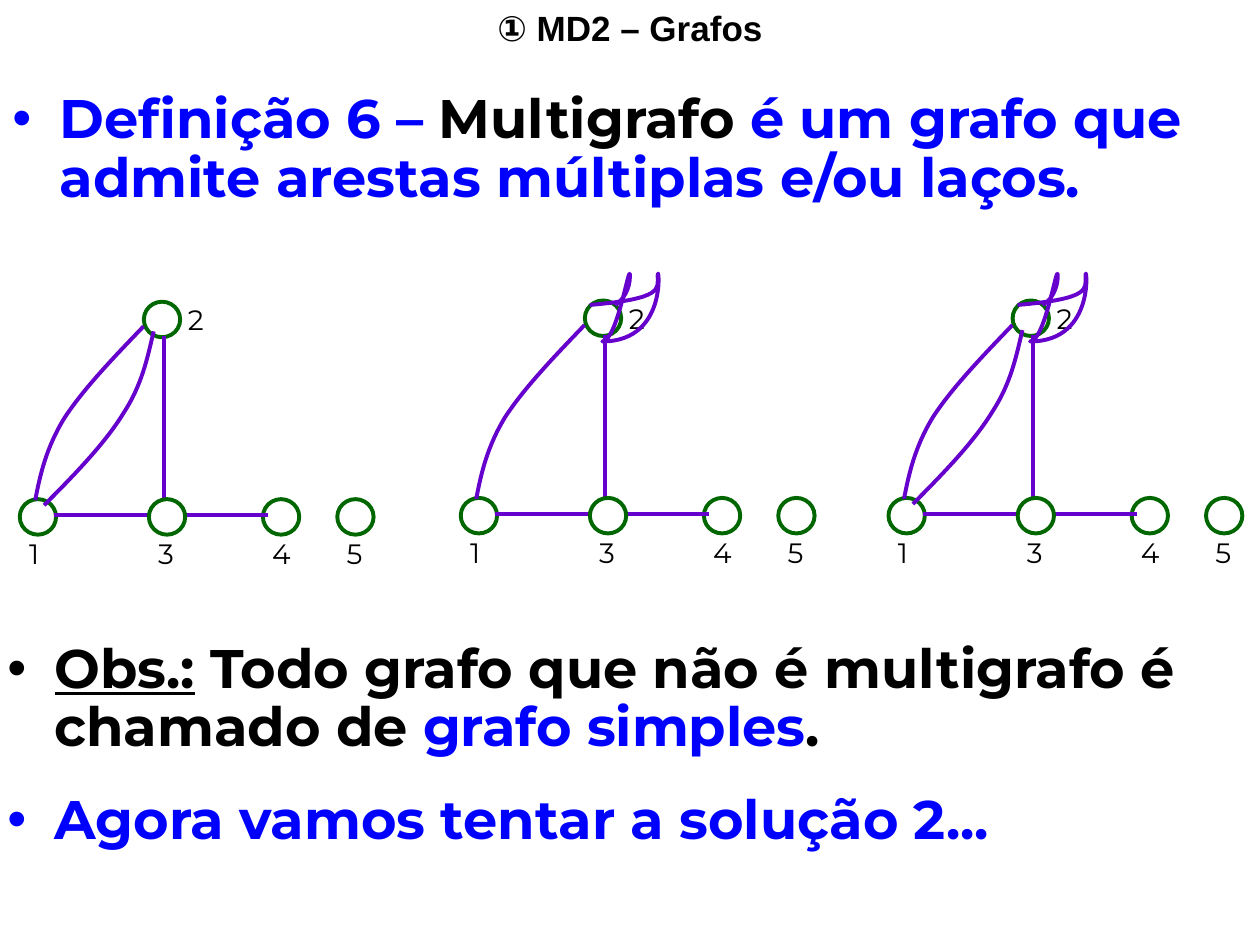
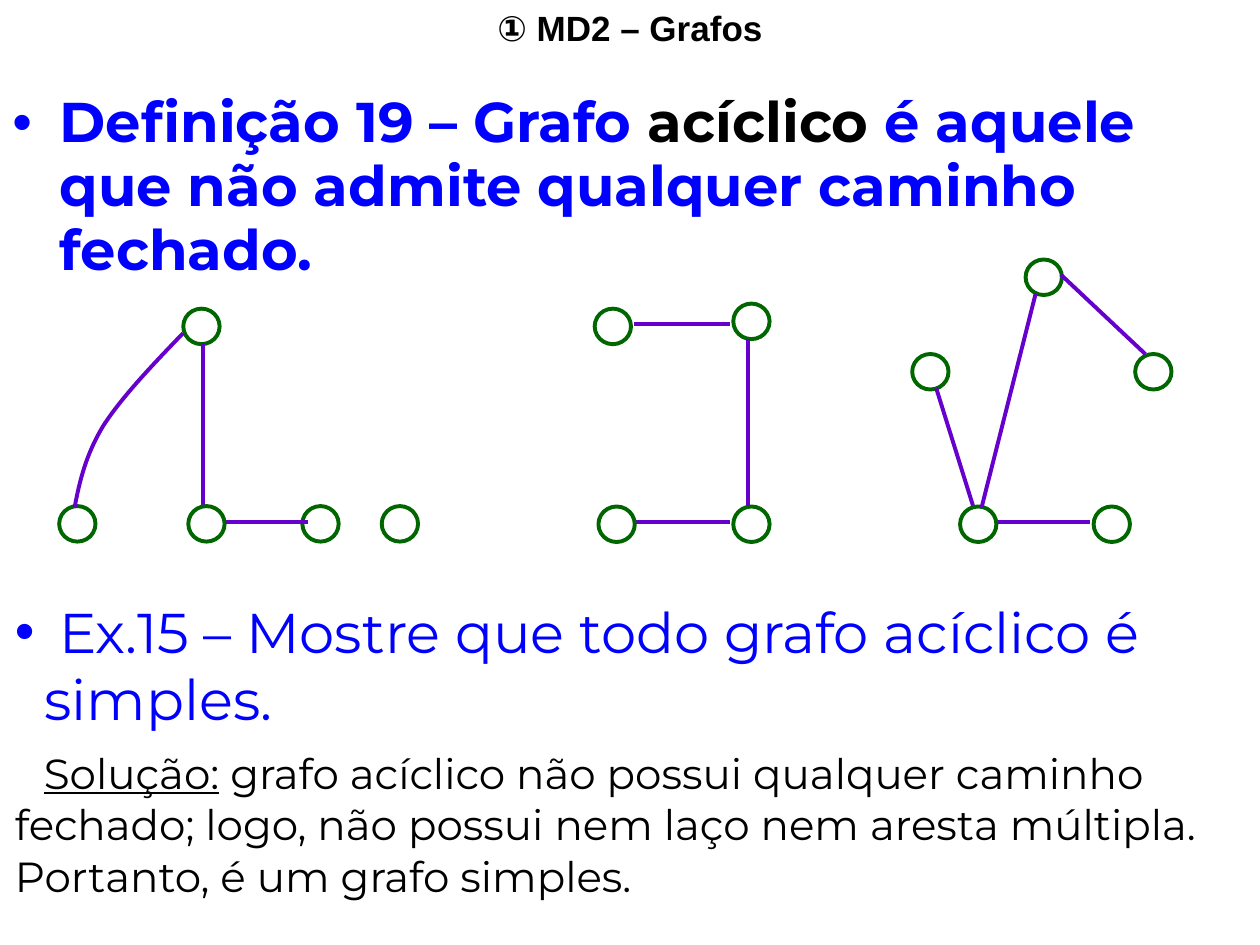
from lxml import etree
from pptx import Presentation
from pptx.dml.color import RGBColor
from pptx.enum.shapes import MSO_CONNECTOR as Connector, MSO_SHAPE as Shape
from pptx.enum.text import MSO_AUTO_SIZE as AutoSize, PP_ALIGN as Align
from pptx.oxml.ns import qn
from pptx.util import Inches, Pt

COLORS = {"black": "000000", "blue": "0000FF", "white": "FFFFFF",
          "node": "006600", "edge": "6600CC"}
COLUMNS, ROWS = 100, 75
NODE_WIDTH, NODE_HEIGHT = 2.88, 2.82
HANGING = 3.75

TITLE = {"name": "Arial", "size": Pt(20), "bold": True}
LABEL = {"name": "Montserrat", "size": Pt(16)}
BODY = {"name": "Montserrat", "size": Pt(31), "bold": True}
BODY_LARGE = BODY | {"size": Pt(32)}
EXERCISE = BODY_LARGE | {"bold": False}
SOLUTION = EXERCISE | {"size": Pt(24)}

# Layout of the five-vertex graph, in columns and rows
VERTICES = {"1": (1.57, 39.62), "4": (20.87, 39.62), "5": (26.77, 39.62), "2": (11.42, 23.95)}
HUB = {"3": (11.82, 39.62)}
EDGE_1_3 = ((4.3, 40.9), (11.8, 40.9))
EDGE_2_3 = ((13, 26.7), (13, 40.1))
EDGE_3_4 = ((21.3, 40.9), (14.6, 40.9))
LABEL_BELOW, LABEL_RIGHT = (-0.25, 2.5), (2.5, -0.4)

# Bézier outlines: a start, then two control points and an end per piece
OUTER = [(2.8, 39.7), (3.2, 37.6), (3.7, 35.5), (5.1, 33.2),
         (6.6, 30.9), (9, 28.4), (11.4, 25.9)]
INNER = [(12.2, 26.3), (11.7, 28.4), (11.3, 30.5), (9.8, 32.8),
         (8.4, 35.1), (6, 37.6), (3.5, 40.1)]
LOOP = [(11.8, 24.3), (17.7, 23.8), (17.2, 23), (17.2, 22),
        (17.2, 20.6), (18.2, 27.2), (12.8, 27.2),
        (14, 27.2), (15, 20.6), (15, 22),
        (15, 23), (14.5, 23.9), (13.8, 24.3)]
LOOP_FRAME = ((10.65, 19.5), (14.95, 24.3))


def rgb(name):
    return RGBColor.from_string(COLORS[name])


def shift(point, offset):
    return point[0] + offset[0], point[1] + offset[1]


class GraphDeck:
    """Holds the style, the current slide and the shapes being drawn into."""

    def __init__(self):
        self.presentation = Presentation()
        self.presentation.slide_width = Inches(10)
        self.presentation.slide_height = Inches(7.5)
        self.column = self.presentation.slide_width / COLUMNS
        self.row = self.presentation.slide_height / ROWS

    def at(self, point):
        return round(point[0] * self.column), round(point[1] * self.row)

    def new_slide(self):
        self.slide = self.presentation.slides.add_slide(self.presentation.slide_layouts[6])
        self.shapes = self.slide.shapes
        self.text((0, 0), (100, 4.4), [([("① MD2 – Grafos", "black")], TITLE,
                                       {"alignment": Align.CENTER})])

    def start_group(self):
        self.shapes = self.slide.shapes.add_group_shape().shapes

    def text(self, corner, size, paragraphs, wrap=True):
        """Each paragraph is (runs, font values, paragraph values, indents and bullet)."""
        frame = self.shapes.add_textbox(*self.at(corner), *self.at(size)).text_frame
        frame.word_wrap = wrap
        frame.auto_size = AutoSize.SHAPE_TO_FIT_TEXT
        for index, (runs, font, values, *indents) in enumerate(paragraphs):
            paragraph = frame.add_paragraph() if index else frame.paragraphs[0]
            if indents:
                self.indent(paragraph, *indents[0])
            for key, value in values.items():
                setattr(paragraph, key, value)
            for words, color, *underlined in runs:
                run = paragraph.add_run()
                run.text = words
                for key, value in font.items():
                    setattr(run.font, key, value)
                run.font.color.rgb = rgb(color)
                if underlined:
                    run.font.underline = True

    def indent(self, paragraph, margin, first_line, bullet_color=None):
        properties = paragraph._p.get_or_add_pPr()
        properties.set("marL", str(round(margin * self.column)))
        properties.set("indent", str(round(first_line * self.column)))
        if bullet_color:
            color = etree.SubElement(properties, qn("a:buClr"))
            etree.SubElement(color, qn("a:srgbClr"), val=COLORS[bullet_color])
            etree.SubElement(properties, qn("a:buFont"), typeface="Arial")
            etree.SubElement(properties, qn("a:buChar"), char="•")

    def bulleted(self, runs, font, **values):
        return runs, font, values, (HANGING, -HANGING, runs[0][1])

    def outline(self, shape, color):
        shape.line.color.rgb = rgb(color)
        shape.line.width = Pt(2.25)

    def node(self, corner):
        shape = self.shapes.add_shape(Shape.FLOWCHART_CONNECTOR, *self.at(corner),
                                      *self.at((NODE_WIDTH, NODE_HEIGHT)))
        shape.shadow.inherit = False
        shape.fill.solid()
        shape.fill.fore_color.rgb = rgb("white")
        self.outline(shape, "node")

    def edge(self, start, end):
        line = self.shapes.add_connector(Connector.STRAIGHT, *self.at(start), *self.at(end))
        etree.SubElement(line._element.spPr, qn("a:effectLst"))
        self.outline(line, "edge")

    def curve(self, controls, frame=None):
        """Draw Bézier pieces; a given frame is turned by half a circle."""
        corners = [self.at(point) for point in frame or (controls[0], controls[-1])]
        (left, right), (top, bottom) = (sorted(values) for values in zip(*corners))
        builder = self.shapes.build_freeform(left, top)
        builder.add_line_segments([(right, bottom)], close=False)
        shape = builder.convert_to_shape()
        shape.shadow.inherit = False
        shape.fill.background()
        self.outline(shape, "edge")
        points = [self.at(point) for point in controls]
        if frame:
            shape.rotation = 180
            points = [(right - x, bottom - y) for x, y in points]
        else:
            points = [(x - left, y - top) for x, y in points]
        self.bend(shape, points)

    def bend(self, shape, points):
        """Replace the straight outline by cubic pieces through the points."""
        outline = next(shape._element.iter(qn("a:path")))
        outline.set("fill", "none")
        for command in list(outline):
            outline.remove(command)
        pieces = [points[first:first + 3] for first in range(1, len(points), 3)]
        for tag, piece in [("a:moveTo", points[:1])] + [("a:cubicBezTo", piece) for piece in pieces]:
            command = etree.SubElement(outline, qn(tag))
            for x, y in piece:
                etree.SubElement(command, qn("a:pt"), x=str(x), y=str(y))

    def label(self, corner, words):
        self.text(corner, (3.2, 3.7), [([(words, "black")], LABEL, {})], wrap=False)

    def graph(self, nodes, hidden_edges, hubs, edges=()):
        """Hubs cover the ends of the hidden edges; the other edges lie on top."""
        self.start_group()
        for corner in nodes:
            self.node(corner)
        for start, end in hidden_edges:
            self.edge(start, end)
        for corner in hubs:
            self.node(corner)
        for start, end in edges:
            self.edge(start, end)

    def five_vertex_graph(self, offset, edges, curves, labelled=True, loop=False, isolated_gap=0):
        vertices = VERTICES | {"5": shift(VERTICES["5"], (isolated_gap, 0))}
        self.graph([shift(corner, offset) for corner in vertices.values()],
                   [[shift(point, offset) for point in edge] for edge in edges],
                   [shift(corner, offset) for corner in HUB.values()])
        if labelled:
            for words, corner in (HUB | vertices).items():
                gap = LABEL_RIGHT if words == "2" else LABEL_BELOW
                self.label(shift(shift(corner, offset), gap), words)
        if loop:
            self.curve([shift(point, offset) for point in LOOP],
                       [shift(corner, offset) for corner in LOOP_FRAME])
        for controls in curves:
            self.curve([shift(point, offset) for point in controls])


def multigraph_slide(deck):
    deck.new_slide()
    deck.text((0, 6.8), (100, 10.3), [deck.bulleted(
        [("Definição 6 – ", "blue"), ("Multigrafo", "black"),
         (" é um grafo que admite arestas múltiplas e/ou laços.", "blue")],
        BODY, line_spacing=0.9)])
    deck.text((-0.4, 50.4), (100, 17.7), [
        deck.bulleted([("Obs.:", "black", True),
                       (" Todo grafo que não é multigrafo é chamado de ", "black"),
                       ("grafo simples", "blue"), (".", "black")], BODY, line_spacing=0.9),
        deck.bulleted([("Agora vamos tentar a solução 2...", "blue")], BODY,
                      line_spacing=0.9, space_before=Pt(19.4))])
    for offset, curves, loop in (((0, 0), (OUTER, INNER), False),
                                 ((68.95, -0.1), (OUTER, INNER), True),
                                 ((35, -0.1), (OUTER,), True)):
        deck.five_vertex_graph(offset, (EDGE_1_3, EDGE_2_3, EDGE_3_4), curves, loop=loop)


def acyclic_slide(deck):
    deck.new_slide()
    deck.text((0, 6.8), (100, 11.2), [deck.bulleted(
        [("Definição 19 – Grafo ", "blue"), ("acíclico", "black"),
         (" é aquele que não admite qualquer caminho fechado.", "blue")],
        BODY_LARGE, line_spacing=0.95)])
    deck.five_vertex_graph((3.13, 0.55), (EDGE_2_3, EDGE_3_4), (OUTER,),
                           labelled=False, isolated_gap=0.4)
    deck.text((0.2, 46.9), (99.8, 25), [
        ([(" Ex.15 – Mostre que todo grafo acíclico é simples.", "blue")],
         EXERCISE, {}, (2.35, -2.35, "blue")),
        ([("Solução:", "black", True),
          (" grafo acíclico não possui qualquer caminho fechado; logo, não possui nem laço "
           "nem aresta múltipla. Portanto, é um grafo simples.", "black")],
         SOLUTION, {"space_before": Pt(8), "line_spacing": 1.03}, (0, 2.3))])
    deck.graph(nodes=[(47.2, 24.5), (58.2, 24.1), (58.2, 40.2)],
               hidden_edges=[((57.9, 41.4), (50.3, 41.4))],
               hubs=[(47.5, 40.2)],
               edges=[((59.4, 26.9), (59.4, 40.2)), ((57.9, 25.7), (50.3, 25.7))])
    deck.graph(nodes=[(72.4, 28.1), (90.1, 28.1), (86.8, 40.2)],
               hidden_edges=[((74.3, 30.8), (77.4, 40.7)), ((86.5, 41.4), (79, 41.4))],
               hubs=[(76.2, 40.2), (81.4, 20.6)],
               edges=[((84.2, 21.8), (90.9, 28.1)), ((82.2, 23.3), (77.9, 40.3))])


def main():
    deck = GraphDeck()
    multigraph_slide(deck)
    acyclic_slide(deck)
    deck.presentation.save("out.pptx")


if __name__ == "__main__":
    main()
